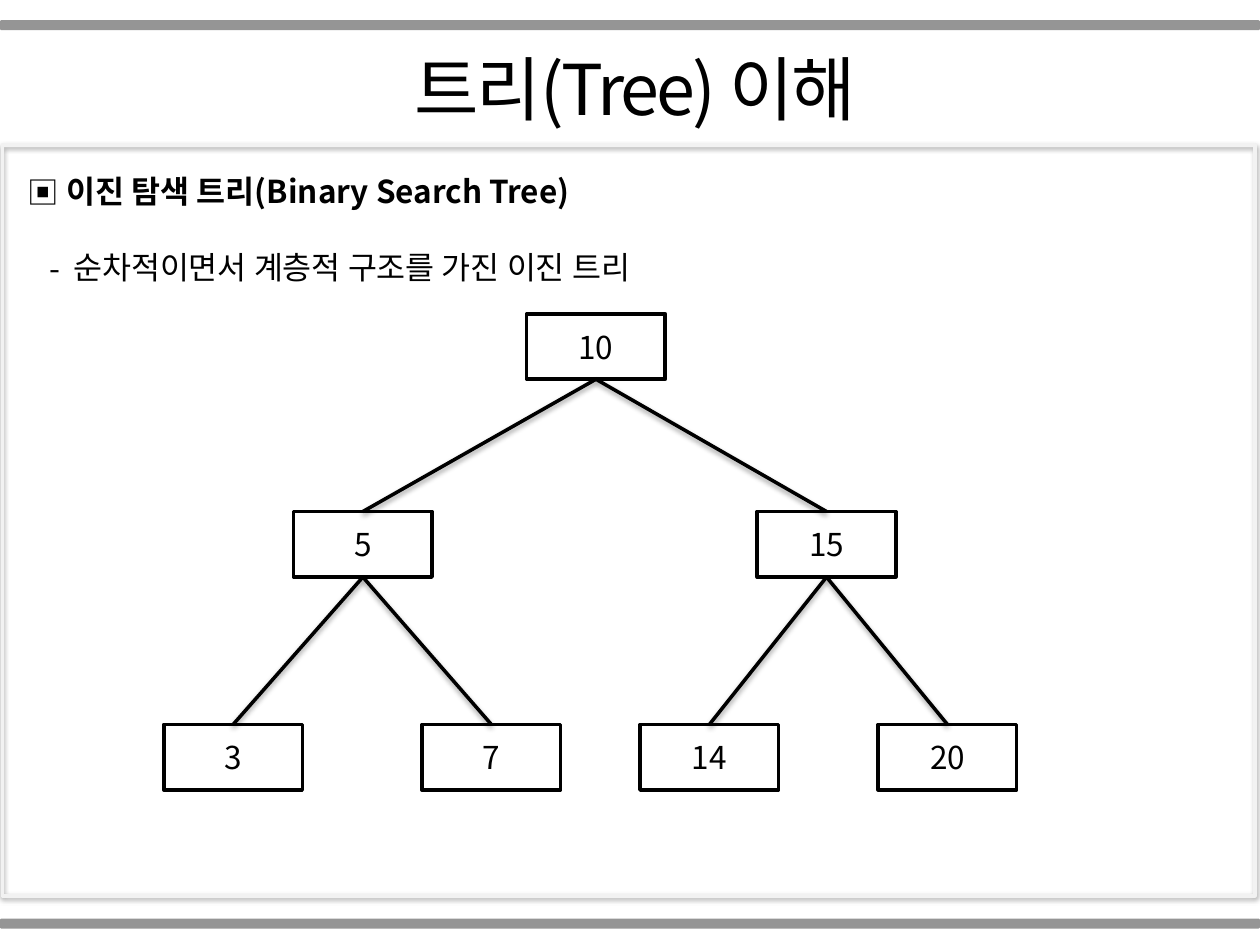
"""Build a slide that explains a binary search tree."""
import lxml.etree
import pptx
import pptx.dml.color
import pptx.enum.shapes
import pptx.enum.text
import pptx.oxml.ns
import pptx.util

BLACK = pptx.dml.color.RGBColor(0x00, 0x00, 0x00)
WHITE = pptx.dml.color.RGBColor(0xFF, 0xFF, 0xFF)
GRAY = pptx.dml.color.RGBColor(0x80, 0x80, 0x80)
PALE = pptx.dml.color.RGBColor(0xF2, 0xF2, 0xF2)
FONT = "Noto Sans CJK KR"
WIDTH, HEIGHT = pptx.util.Inches(10), pptx.util.Inches(7.5)
COLUMN, ROW = WIDTH / 100, HEIGHT / 75
NODE_WIDTH, NODE_HEIGHT = 11, 5.2
LEVEL_TOPS = (24.9, 40.6, 57.5)
NODES = {
    "10": (41.8, 0, None),
    "5": (23.3, 1, "10"),
    "15": (60.1, 1, "10"),
    "3": (13, 2, "5"),
    "7": (33.5, 2, "5"),
    "14": (50.8, 2, "15"),
    "20": (69.7, 2, "15"),
}


def grid(left, top, width, height):
    """Turn columns and rows into slide lengths."""
    return [round(value) for value in (left * COLUMN, top * ROW, width * COLUMN, height * ROW)]


def add_element(parent, tag, **attributes):
    """Append a drawing element to its parent."""
    return lxml.etree.SubElement(parent, pptx.oxml.ns.qn(tag), attributes)


def add_shadow(shape):
    """Give a shape or line a soft shadow below it."""
    effects = add_element(shape._element.spPr, "a:effectLst")
    shadow = add_element(effects, "a:outerShdw", blurRad="40000", dist="20000",
                         dir="5400000", rotWithShape="0")
    add_element(add_element(shadow, "a:srgbClr", val=str(BLACK)), "a:alpha", val="38000")


def format_runs(paragraph, size, bold=False):
    """Set the font of every run in a paragraph."""
    for run in paragraph.runs:
        run.font.size = pptx.util.Pt(size)
        run.font.bold = bold
        run.font.color.rgb = BLACK
        run.font.name = FONT
        add_element(run.font._element, "a:ea", typeface=FONT)


def place(shape, *cells):
    """Move a placeholder to its cells."""
    shape.left, shape.top, shape.width, shape.height = grid(*cells)


def add_panel(slide):
    """Add the framed content area."""
    panel = slide.shapes.add_shape(pptx.enum.shapes.MSO_SHAPE.RECTANGLE,
                                   *grid(0.2, 11.5, 99.4, 59.6))
    panel.fill.background()
    panel.line.color.rgb = PALE
    panel.line.width = pptx.util.Pt(2)
    add_shadow(panel)


def add_bar(slide, top):
    """Add a translucent bar across the slide."""
    bar = slide.shapes.add_shape(pptx.enum.shapes.MSO_SHAPE.ROUNDED_RECTANGLE,
                                 *grid(0, top, 100, 0.8))
    bar.shadow.inherit = False
    bar.fill.solid()
    bar.fill.fore_color.rgb = GRAY
    color = bar._element.spPr.find(".//" + pptx.oxml.ns.qn("a:srgbClr"))
    add_element(color, "a:alpha", val="83000")
    bar.line.fill.background()


def fill_title(title, text):
    """Write the centred slide title."""
    place(title, 0.7, 3.1, 99.4, 7.7)
    title.text_frame.text = text
    title.text_frame.vertical_anchor = pptx.enum.text.MSO_ANCHOR.MIDDLE
    paragraph = title.text_frame.paragraphs[0]
    paragraph.alignment = pptx.enum.text.PP_ALIGN.CENTER
    format_runs(paragraph, 40)
    for run in paragraph.runs:
        run.font._element.set("spc", "-150")


def format_item(paragraph, bullet, margin, indent, space, bold):
    """Set the bullet, indents and font of a list item."""
    properties = paragraph._p.get_or_add_pPr()
    properties.set("marL", str(pptx.util.Inches(margin)))
    properties.set("indent", str(pptx.util.Inches(-indent)))
    add_element(properties, "a:buFont", typeface=FONT)
    add_element(properties, "a:buChar", char=bullet)
    paragraph.line_spacing = pptx.util.Pt(22)
    paragraph.space_before = pptx.util.Pt(space)
    format_runs(paragraph, 18, bold)


def fill_body(body):
    """Write the heading and its explanation."""
    place(body, 1.2, 13.1, 98.8, 10.1)
    frame = body.text_frame
    frame.text = "이진 탐색 트리(Binary Search Tree)\n순차적이면서 계층적 구조를 가진 이진 트리"
    frame.auto_size = pptx.enum.text.MSO_AUTO_SIZE.NONE
    heading, detail = frame.paragraphs
    format_item(heading, "▣", 0.31, 0.31, 0, True)
    format_item(detail, "-", 0.36, 0.19, 21.5, False)


def add_node(slide, value, left, level):
    """Add one boxed tree node."""
    node = slide.shapes.add_shape(pptx.enum.shapes.MSO_SHAPE.RECTANGLE,
                                  *grid(left, LEVEL_TOPS[level], NODE_WIDTH, NODE_HEIGHT))
    node.shadow.inherit = False
    node.fill.solid()
    node.fill.fore_color.rgb = WHITE
    node.line.color.rgb = BLACK
    node.line.width = pptx.util.Pt(2)
    node.text_frame.text = value
    node.text_frame.vertical_anchor = pptx.enum.text.MSO_ANCHOR.MIDDLE
    paragraph = node.text_frame.paragraphs[0]
    paragraph.alignment = pptx.enum.text.PP_ALIGN.CENTER
    format_runs(paragraph, 18)
    return node


def add_branch(slide, parent, child):
    """Join the bottom of a parent to the top of its child."""
    branch = slide.shapes.add_connector(pptx.enum.shapes.MSO_CONNECTOR.STRAIGHT, 0, 0, 0, 0)
    branch.begin_connect(parent, 2)
    branch.end_connect(child, 0)
    branch.line.color.rgb = BLACK
    branch.line.width = pptx.util.Pt(2)
    add_shadow(branch)


def add_tree(slide):
    """Add every node and the branches between them."""
    boxes = {value: add_node(slide, value, left, level)
             for value, (left, level, _) in NODES.items()}
    for value, (_, _, parent) in NODES.items():
        if parent:
            add_branch(slide, boxes[parent], boxes[value])


def main():
    """Build and save the presentation."""
    presentation = pptx.Presentation()
    presentation.slide_width, presentation.slide_height = WIDTH, HEIGHT
    slide = presentation.slides.add_slide(presentation.slide_layouts[1])
    add_panel(slide)
    for top in (1.6, 72.9):
        add_bar(slide, top)
    fill_title(slide.shapes.title, "트리(Tree) 이해")
    fill_body(slide.placeholders[1])
    add_tree(slide)
    presentation.save("out.pptx")


if __name__ == "__main__":
    main()
